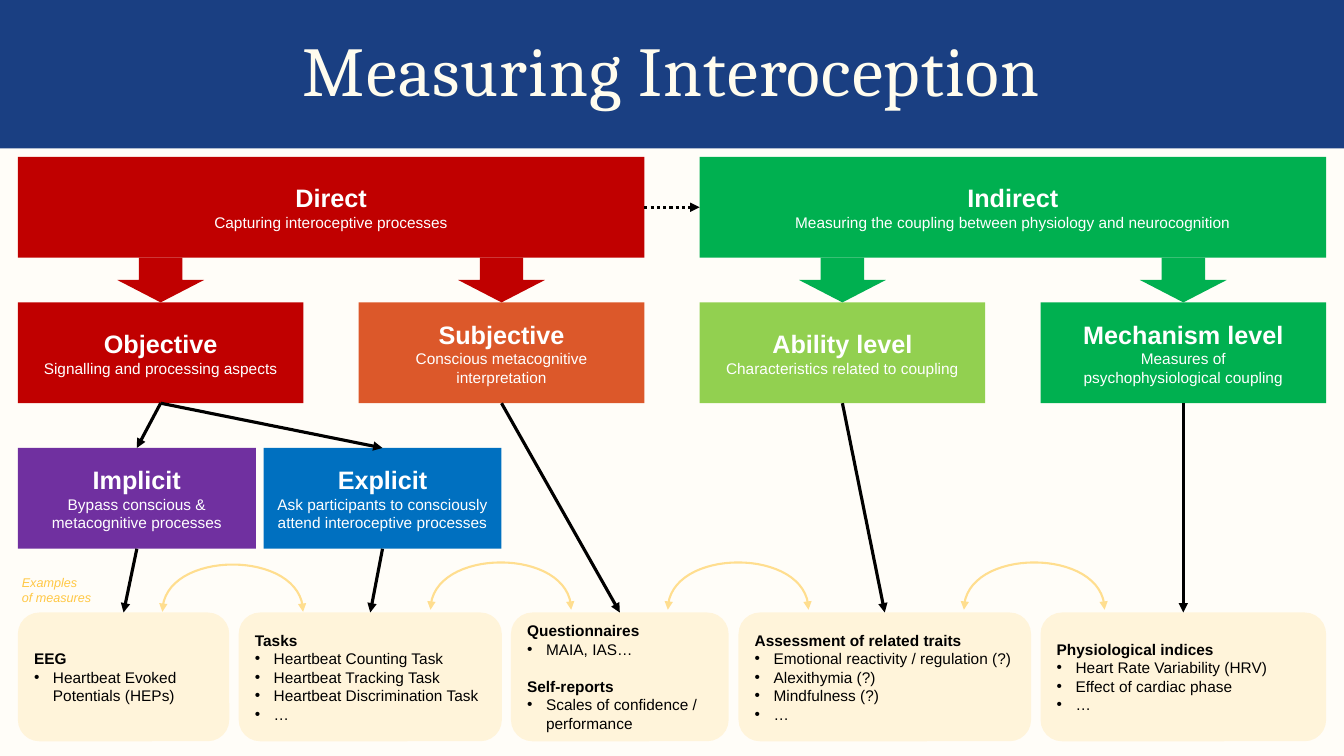
import lxml.etree
import pptx
import pptx.dml.color
import pptx.enum.dml
import pptx.enum.shapes
import pptx.enum.text
import pptx.oxml.ns
import pptx.util

Pt = pptx.util.Pt
Shape = pptx.enum.shapes.MSO_SHAPE
Align = pptx.enum.text.PP_ALIGN
Anchor = pptx.enum.text.MSO_ANCHOR

RED, GREEN, BLACK, WHITE = "C00000", "00B050", "000000", "FFFFFF"
CREAM, GOLD = "FFF4DA", "FFDE8F"
LEFT, COLUMN_STEP, COLUMN_WIDTH = 12.75, 243.5, 204
TOP, ROW_STEP, BOX_HEIGHT = 112, 104, 72
BRANCH_STEP, BRANCH_WIDTH = 175.5, 170
CARD_TOP, CARD_HEIGHT = 437.5, 92
ARC_WIDTH, ARC_RISE, ARC_STEPS = 100.5, 45, 32


def color(value):
    return pptx.dml.color.RGBColor.from_string(value)


def add_element(parent, tag, **attributes):
    element = lxml.etree.SubElement(parent, pptx.oxml.ns.qn(tag))
    for name, value in attributes.items():
        element.set(name, value)


def add_filled_shape(slide, kind, box, fill):
    shape = slide.shapes.add_shape(kind, *map(Pt, box))
    shape.shadow.inherit = False
    shape.fill.solid()
    shape.fill.fore_color.rgb = color(fill)
    shape.line.fill.background()
    return shape


def style_line(shape, line_color, width, ends, dash=None):
    shape.line.color.rgb = color(line_color)
    shape.line.width = Pt(width)
    if dash:
        shape.line.dash_style = dash
    for end in ends:
        add_element(shape.line._get_or_add_ln(), end, type="triangle")


def write_paragraph(paragraph, text, size, text_color, font="Arial", bold=False,
                    italic=False, align=Align.LEFT, bullet=False):
    paragraph.text = text
    paragraph.alignment = align
    if bullet:
        properties = paragraph._p.get_or_add_pPr()
        properties.set("marL", str(Pt(13.5)))
        properties.set("indent", str(-Pt(13.5)))
        add_element(properties, "a:buFont", typeface="Arial")
        add_element(properties, "a:buChar", char="•")
    paragraph.font.name = font
    paragraph.font.size = Pt(size)
    paragraph.font.bold = bold
    paragraph.font.italic = italic
    paragraph.font.color.rgb = color(text_color)


def next_paragraph(frame, index):
    return frame.add_paragraph() if index else frame.paragraphs[0]


def add_header(slide, box, text):
    left, top, width, height = box
    banner = add_filled_shape(slide, Shape.RECTANGLE, box, "1A3F82")
    slide.shapes._spTree.insert(2, banner._element)
    title = slide.shapes.title
    title.left, title.top = Pt(left + 62), Pt(top + 22)
    title.width, title.height = Pt(width - 124), Pt(height - 44)
    title.text_frame.vertical_anchor = Anchor.MIDDLE
    paragraph = title.text_frame.paragraphs[0]
    write_paragraph(paragraph, text, 50, "FFFCEE", font="Cambria", align=Align.CENTER)
    paragraph.line_spacing = 0.9
    paragraph.space_before = Pt(0)
    paragraph.runs[0]._r.get_or_add_rPr().set("spc", "80")


def add_category(slide, box, fill, heading, *details):
    shape = add_filled_shape(slide, Shape.RECTANGLE, box, fill)
    frame = shape.text_frame
    frame.word_wrap = True
    frame.vertical_anchor = Anchor.MIDDLE
    for index, text in enumerate((heading, *details)):
        write_paragraph(next_paragraph(frame, index), text, 11 if index else 18, WHITE,
                        bold=index == 0, align=Align.CENTER)
    return shape


def add_measures(slide, box, groups):
    shape = add_filled_shape(slide, Shape.ROUNDED_RECTANGLE, box, CREAM)
    frame = shape.text_frame
    frame.word_wrap = True
    frame.vertical_anchor = Anchor.MIDDLE
    for index, (heading, *items) in enumerate(groups):
        paragraph = next_paragraph(frame, index)
        write_paragraph(paragraph, heading, 11, BLACK, bold=True)
        if index:
            paragraph.space_before = Pt(13)
        for item in items:
            write_paragraph(frame.add_paragraph(), item, 11, BLACK, bullet=True)
    return shape


def add_arrow(slide, source, target, source_side=2, target_side=0, dash=None):
    arrow = slide.shapes.add_connector(pptx.enum.shapes.MSO_CONNECTOR.STRAIGHT, 0, 0, 0, 0)
    arrow.begin_connect(source, source_side)
    arrow.end_connect(target, target_side)
    style_line(arrow, BLACK, 2.25, ["a:tailEnd"], dash)
    add_element(arrow._element.spPr, "a:effectLst")


def add_arc(slide, left, bottom):
    points = []
    for step in range(ARC_STEPS + 1):
        t = step / ARC_STEPS
        points.append((Pt(left + ARC_WIDTH * t * t * (3 - 2 * t)),
                       Pt(bottom - 3 * ARC_RISE * t * (1 - t))))
    builder = slide.shapes.build_freeform(*points[0])
    builder.add_line_segments(points[1:], close=False)
    arc = builder.convert_to_shape()
    arc.shadow.inherit = False
    arc.fill.background()
    style_line(arc, GOLD, 1.5, ["a:headEnd", "a:tailEnd"])


def add_label(slide, box, lines):
    frame = slide.shapes.add_textbox(*map(Pt, box)).text_frame
    frame.word_wrap = True
    frame.vertical_anchor = Anchor.MIDDLE
    for index, text in enumerate(lines):
        write_paragraph(next_paragraph(frame, index), text, 9, "FFC845", italic=True)


def add_categories(slide):
    wide = COLUMN_STEP + COLUMN_WIDTH
    direct = add_category(slide, (LEFT, TOP, wide, BOX_HEIGHT), RED,
                          "Direct", "Capturing interoceptive processes")
    indirect = add_category(slide, (LEFT + 2 * COLUMN_STEP, TOP, wide, BOX_HEIGHT), GREEN, "Indirect",
                            "Measuring the coupling between physiology and neurocognition")
    add_arrow(slide, direct, indirect, 3, 1, pptx.enum.dml.MSO_LINE.ROUND_DOT)
    levels = [
        (RED, RED, "Objective", "Signalling and processing aspects"),
        (RED, "DC582A", "Subjective", "Conscious metacognitive interpretation"),
        (GREEN, "92D050", "Ability level", "Characteristics related to coupling"),
        (GREEN, GREEN, "Mechanism level", "Measures of", "psychophysiological coupling"),
    ]
    boxes = []
    for column, (arrow_fill, fill, *texts) in enumerate(levels):
        left = LEFT + column * COLUMN_STEP
        boxes.append(add_category(slide, (left, TOP + ROW_STEP, COLUMN_WIDTH, BOX_HEIGHT), fill, *texts))
        add_filled_shape(slide, Shape.DOWN_ARROW,
                         (left + COLUMN_WIDTH / 2 - 31, TOP + BOX_HEIGHT, 62, ROW_STEP - BOX_HEIGHT), arrow_fill)
    branches = [
        ("7030A0", "Implicit", "Bypass conscious & metacognitive processes"),
        ("0070C0", "Explicit", "Ask participants to consciously attend interoceptive processes"),
    ]
    for column, branch in enumerate(branches):
        box = (LEFT + column * BRANCH_STEP, TOP + 2 * ROW_STEP, BRANCH_WIDTH, BOX_HEIGHT)
        boxes.append(add_category(slide, box, *branch))
        add_arrow(slide, boxes[0], boxes[-1])
    objective, subjective, ability, mechanism, implicit, explicit = boxes
    return implicit, explicit, subjective, ability, mechanism


def add_examples(slide, sources):
    cards = [
        (LEFT, 151, [("EEG", "Heartbeat Evoked Potentials (HEPs)")]),
        (170.5, 188, [("Tasks", "Heartbeat Counting Task", "Heartbeat Tracking Task",
                       "Heartbeat Discrimination Task", "…")]),
        (365, 155.5, [("Questionnaires", "MAIA, IAS…"),
                      ("Self-reports", "Scales of confidence / performance")]),
        (527.5, 209, [("Assessment of related traits", "Emotional reactivity / regulation (?)",
                       "Alexithymia (?)", "Mindfulness (?)", "…")]),
        (743.25, 204, [("Physiological indices", "Heart Rate Variability (HRV)",
                        "Effect of cardiac phase", "…")]),
    ]
    for source, (left, width, groups) in zip(sources, cards):
        card = add_measures(slide, (left, CARD_TOP, width, CARD_HEIGHT), groups)
        add_arrow(slide, source, card)
    for left, bottom in [(116, 437), (307.5, 435.5), (477, 435.5), (688.5, 435.5)]:
        add_arc(slide, left, bottom)
    add_label(slide, (8.5, 410.5, 73, 22), ["Examples", "of measures"])


def main():
    presentation = pptx.Presentation()
    presentation.slide_width, presentation.slide_height = Pt(960), Pt(540)
    slide = presentation.slides.add_slide(presentation.slide_layouts[5])
    slide.background.fill.solid()
    slide.background.fill.fore_color.rgb = color("FFFDF8")
    add_header(slide, (0, 0, 960, 106), "Measuring Interoception")
    add_examples(slide, add_categories(slide))
    presentation.save("out.pptx")


if __name__ == "__main__":
    main()
